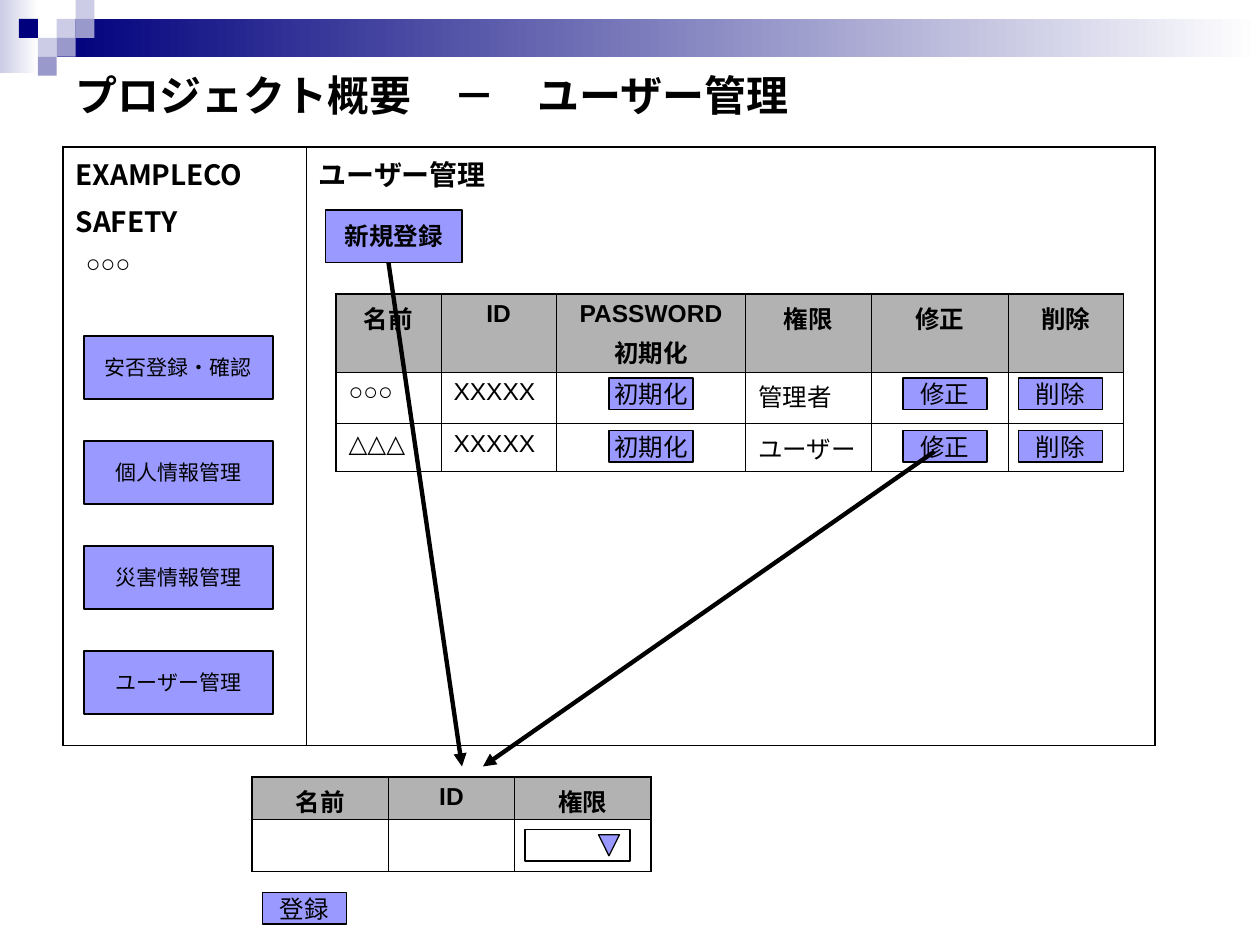
from dataclasses import dataclass

from lxml import etree
from pptx import Presentation
from pptx.dml.color import RGBColor
from pptx.enum.shapes import MSO_CONNECTOR, MSO_SHAPE
from pptx.enum.text import MSO_ANCHOR, PP_ALIGN
from pptx.oxml.ns import qn
from pptx.util import Pt

RECT = MSO_SHAPE.RECTANGLE
MERGE = MSO_SHAPE.FLOWCHART_MERGE
STRAIGHT = MSO_CONNECTOR.STRAIGHT
MIDDLE = MSO_ANCHOR.MIDDLE
LEFT, CENTER = PP_ALIGN.LEFT, PP_ALIGN.CENTER


@dataclass(frozen=True)
class Theme:
    font: str = "Arial"
    font_ja: str = "Noto Sans CJK JP"
    black: str = "000000"
    white: str = "FFFFFF"
    button: str = "9999FF"
    header: str = "B2B2B2"
    navy: str = "00007D"
    pale: str = "CCCCE6"
    mid: str = "9999CC"
    title: int = 24
    heading: int = 16
    body: int = 14
    menu: int = 12
    outline: float = 0.75
    arrow: float = 2.5
    outer: float = 1.08
    inner: float = 0.45


T = Theme()


def rgb(value):
    return RGBColor.from_string(value)


def write(tf, text, size=T.body, bold=False, align=LEFT, before=0, font=T.font):
    for i, line in enumerate(text.split("\n")):
        p = tf.paragraphs[0] if i == 0 else tf.add_paragraph()
        p.alignment = align
        p.space_before = Pt(before)
        r = p.add_run()
        r.text = line
        r.font.name = font
        r.font.size = Pt(size)
        r.font.bold = bold
        r.font.color.rgb = rgb(T.black)
        ea = etree.SubElement(r.font._element, qn("a:ea"))
        ea.set("typeface", T.font_ja)


def add_text(s, x, y, w, h, text, anchor=None, **style):
    tf = s.shapes.add_textbox(Pt(x), Pt(y), Pt(w), Pt(h)).text_frame
    tf.word_wrap = True
    if anchor is not None:
        tf.vertical_anchor = anchor
    write(tf, text, **style)


def add_box(s, x, y, w, h, fill, kind=RECT, line=True):
    sp = s.shapes.add_shape(kind, Pt(x), Pt(y), Pt(w), Pt(h))
    sp.shadow.inherit = False
    sp.fill.solid()
    sp.fill.fore_color.rgb = rgb(fill)
    if line:
        sp.line.color.rgb = rgb(T.black)
        sp.line.width = Pt(T.outline)
    else:
        sp.line.fill.background()
    return sp


def add_button(s, x, y, w, h, text, **style):
    tf = add_box(s, x, y, w, h, T.button).text_frame
    tf.word_wrap = False
    tf.vertical_anchor = MIDDLE
    write(tf, text, align=CENTER, **style)


def add_fade(s, x, y, w, h, color):
    sp = add_box(s, x, y, w, h, color, line=False)
    sp.fill.gradient()
    sp.fill.gradient_angle = 0
    for stop, value in zip(sp.fill.gradient_stops, (color, T.white)):
        stop.color.rgb = rgb(value)


def add_arrow(s, x1, y1, x2, y2):
    c = s.shapes.add_connector(STRAIGHT, Pt(x1), Pt(y1), Pt(x2), Pt(y2))
    c.line.color.rgb = rgb(T.black)
    c.line.width = Pt(T.arrow)
    etree.SubElement(c.line._get_or_add_ln(), qn("a:tailEnd")).set("type", "triangle")
    etree.SubElement(c._element.spPr, qn("a:effectLst"))


def set_borders(cell, outer_sides):
    tc_pr = cell._tc.get_or_add_tcPr()
    for i, (side, is_outer) in enumerate(zip("LRTB", outer_sides)):
        ln = etree.Element(qn(f"a:ln{side}"))
        ln.set("w", str(Pt(T.outer if is_outer else T.inner)))
        fill = etree.SubElement(ln, qn("a:solidFill"))
        etree.SubElement(fill, qn("a:srgbClr")).set("val", T.black)
        tc_pr.insert(i, ln)


def add_table(s, x, y, widths, heights, rows, header=True, **style):
    shape = s.shapes.add_table(len(heights), len(widths), Pt(x), Pt(y),
                               Pt(sum(widths)), Pt(sum(heights)))
    table = shape.table
    table.first_row = table.horz_banding = False
    for col, w in zip(table.columns, widths):
        col.width = Pt(w)
    for row, h in zip(table.rows, heights):
        row.height = Pt(h)
    last_row, last_col = len(heights) - 1, len(widths) - 1
    for i, row in enumerate(rows):
        is_header = header and i == 0
        for j, text in enumerate(row):
            cell = table.cell(i, j)
            cell.fill.solid()
            cell.fill.fore_color.rgb = rgb(T.header if is_header else T.white)
            set_borders(cell, (j == 0, j == last_col, i == 0, i == last_row))
            if text:
                look = {"bold": is_header, "before": 3.5,
                        "align": CENTER if is_header else LEFT, **style}
                write(cell.text_frame, text, **look)
            else:
                cell.margin_top = cell.margin_bottom = 0


def add_banner(s):
    unit = 10.8
    add_fade(s, 0, 0, 22, 42, T.pale)
    add_fade(s, 3 * unit, unit, 720 - 3 * unit, 21.6, T.navy)
    squares = [(3, 1, T.pale), (4, 0, T.pale), (4, 1, T.mid), (2, 2, T.pale),
               (1, 1, T.navy), (3, 2, T.mid), (2, 3, T.mid)]
    for col, row, color in squares:
        add_box(s, col * unit, row * unit, unit, unit, color, line=False)


def add_main_screen(s):
    add_table(s, 36, 84, [139, 485], [342], [["EXAMPLECO\nSAFETY", "ユーザー管理"]],
              header=False, size=T.heading, bold=True, before=4, font=T.font_ja)
    menu = ["安否登録・確認", "個人情報管理", "災害情報管理", "ユーザー管理"]
    for i, text in enumerate(menu):
        add_button(s, 48, 192 + 60 * i, 108, 36, text, size=T.menu)
    add_text(s, 42, 138, 96, 24.5, "○○○", before=8.8)
    users = [["名前", "ID", "PASSWORD\n初期化", "権限", "修正", "削除"],
             ["○○○", "XXXXX", "", "管理者", "", ""],
             ["△△△", "XXXXX", "", "ユーザー", "", ""]]
    add_table(s, 192, 168, [60, 66, 108, 72, 78, 66], [44.6, 29.5, 27.4], users)
    for y in (216, 246):
        for x, text in ((348, "初期化"), (516, "修正"), (582, "削除")):
            add_button(s, x, y, 48, 18, text)
    add_button(s, 186, 120, 78, 30, "新規登録", bold=True)


def add_entry_form(s):
    add_table(s, 144, 444, [78, 72, 78], [24.5, 29.5],
              [["名前", "ID", "権限"], ["", "", ""]])
    add_button(s, 150, 510, 48, 18, "登録")
    add_box(s, 300, 474, 60, 18, T.white)
    add_box(s, 342, 477, 12, 12, T.button, kind=MERGE)


def main():
    prs = Presentation()
    prs.slide_width, prs.slide_height = Pt(720), Pt(540)
    s = prs.slides.add_slide(prs.slide_layouts[6])
    add_banner(s)
    add_text(s, 36, 36, 648, 36, "プロジェクト概要\u3000－\u3000ユーザー管理".replace("\u3000", "　"),
             anchor=MIDDLE, size=T.title, bold=True)
    add_main_screen(s)
    add_entry_form(s)
    add_arrow(s, 222, 150, 264, 438)
    add_arrow(s, 534, 258, 276, 438)
    prs.save("out.pptx")


if __name__ == "__main__":
    main()
